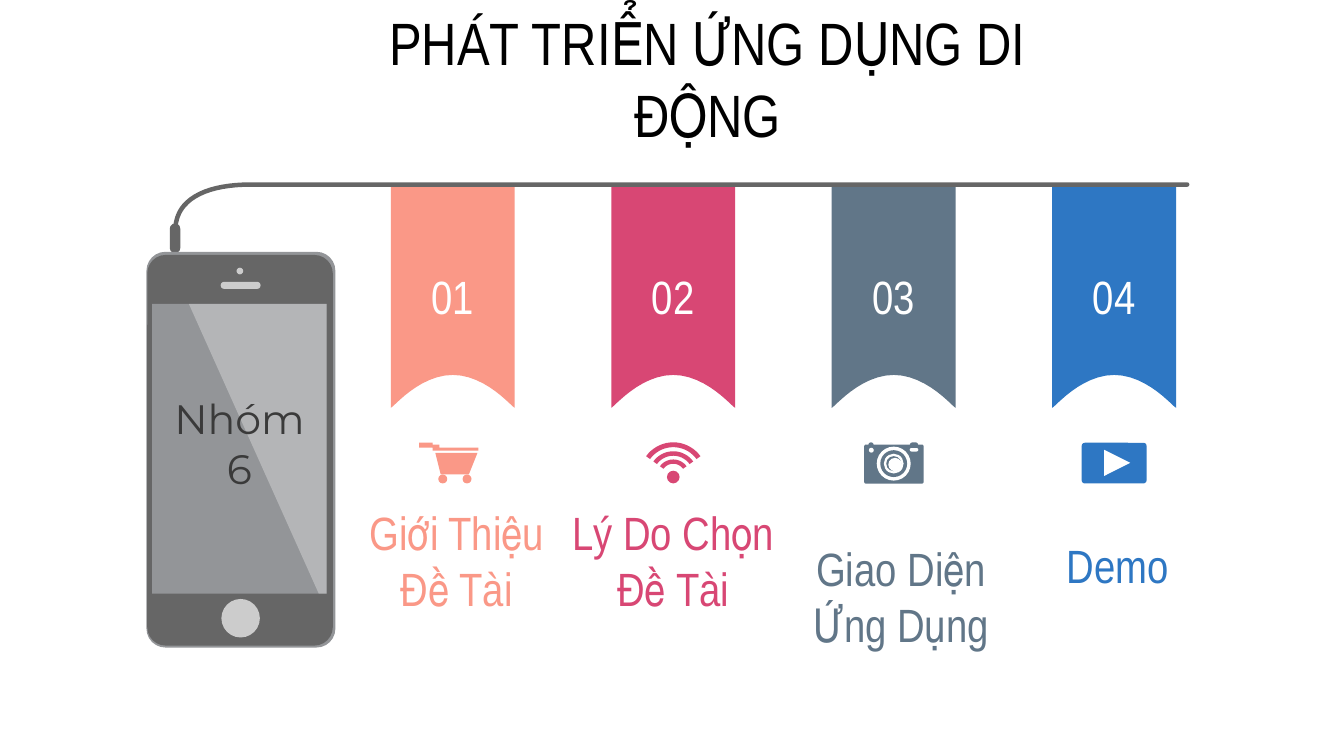
import math
from dataclasses import dataclass

from lxml import etree
from pptx import Presentation
from pptx.dml.color import RGBColor
from pptx.enum import shapes, text
from pptx.oxml.ns import qn
from pptx.util import Pt

MSO = shapes.MSO_SHAPE
Point = tuple[float, float]


@dataclass(frozen=True)
class Theme:
    coral: str = "FA9887"
    pink: str = "D84774"
    slate: str = "617688"
    blue: str = "2E77C3"
    white: str = "FFFFFF"
    black: str = "000000"
    ink: str = "3A3A3A"
    dark: str = "666666"
    mid: str = "939598"
    light: str = "CCCCCC"
    font: str = "Arial Narrow"
    screen_font: str = "Montserrat"
    title_size: float = 32
    label_size: float = 25
    screen_size: float = 22


@dataclass(frozen=True)
class Box:
    x: float
    y: float
    w: float
    h: float


@dataclass(frozen=True)
class Block:
    """A preset shape; without a colour it takes that of its column."""
    kind: int
    box: Box
    color: str | None = None
    radius: float | None = None


@dataclass(frozen=True)
class Outline:
    points: list[Point]
    color: str | None = None


@dataclass(frozen=True)
class Column:
    number: str
    label: str
    color: str
    label_box: Box
    icon: list[Block | Outline]


T = Theme()
FIRST_CENTER, PITCH = 242.6, 118.1
BANNER_TOP, BANNER_BOTTOM, ARCH_TOP, BANNER_HALF = 98.6, 218.5, 200.9, 33.2


def bezier(a: Point, b: Point, c: Point, d: Point, steps: int = 12) -> list[Point]:
    ts = [i / steps for i in range(steps + 1)]
    return [tuple((1 - t) ** 3 * a[k] + 3 * (1 - t) ** 2 * t * b[k]
                  + 3 * (1 - t) * t ** 2 * c[k] + t ** 3 * d[k] for k in (0, 1))
            for t in ts]


def disc(x: float, y: float, r: float, color: str | None = None) -> Block:
    return Block(MSO.OVAL, Box(x - r, y - r, 2 * r, 2 * r), color)


def rounded(x: float, y: float, w: float, h: float,
            color: str | None = None, radius: float = 0.5) -> Block:
    return Block(MSO.ROUNDED_RECTANGLE, Box(x, y, w, h), color, radius)


def wave(outer: float, inner: float, y: float = 255, half: int = 54) -> Outline:
    """A band of a ring that opens downwards."""
    angles = [math.radians(a) for a in range(-half, half + 1, 6)]
    edge = [(outer * math.sin(a), y - outer * math.cos(a)) for a in angles]
    back = [(inner * math.sin(a), y - inner * math.cos(a)) for a in reversed(angles)]
    return Outline(edge + back)


def paint(sp, color: str) -> None:
    sp.shadow.inherit = False
    sp.fill.solid()
    sp.fill.fore_color.rgb = RGBColor.from_string(color)
    sp.line.fill.background()


def add_path(s, points: list[Point], closed: bool = True):
    pts = [(Pt(x), Pt(y)) for x, y in points]
    fb = s.shapes.build_freeform(*pts[0], scale=1.0)
    fb.add_line_segments(pts[1:], close=closed)
    return fb.convert_to_shape()


def draw(s, part: Block | Outline, color: str = T.dark, dx: float = 0):
    if isinstance(part, Outline):
        sp = add_path(s, [(x + dx, y) for x, y in part.points])
    else:
        b = part.box
        sp = s.shapes.add_shape(part.kind, Pt(b.x + dx), Pt(b.y), Pt(b.w), Pt(b.h))
        if part.radius is not None:
            sp.adjustments[0] = part.radius
    paint(sp, part.color or color)
    return sp


def write(sp, words: str, size: float, color: str, font: str = T.font,
          inset: Point = (7.2, 7.2), anchor=text.MSO_ANCHOR.MIDDLE) -> None:
    tf = sp.text_frame
    frame = {"word_wrap": True, "auto_size": text.MSO_AUTO_SIZE.NONE,
             "vertical_anchor": anchor,
             "margin_left": Pt(inset[0]), "margin_right": Pt(inset[0]),
             "margin_top": Pt(inset[1]), "margin_bottom": Pt(inset[1])}
    for name, value in frame.items():
        setattr(tf, name, value)
    p = tf.paragraphs[0]
    p.alignment = text.PP_ALIGN.CENTER
    r = p.add_run()
    r.text = words
    for name, value in {"name": font, "size": Pt(size), "bold": False}.items():
        setattr(r.font, name, value)
    r.font.color.rgb = RGBColor.from_string(color)


def add_text(s, b: Box, *args, **kwargs) -> None:
    write(s.shapes.add_textbox(Pt(b.x), Pt(b.y), Pt(b.w), Pt(b.h)), *args, **kwargs)


def draw_column(s, col: Column, center: float) -> None:
    arch = bezier((-BANNER_HALF, BANNER_BOTTOM), (-32, BANNER_BOTTOM),
                  (-18, ARCH_TOP), (0, ARCH_TOP))
    mirrored = [(-x, y) for x, y in reversed(arch[:-1])]
    top = [(BANNER_HALF, BANNER_TOP), (-BANNER_HALF, BANNER_TOP)]
    banner = draw(s, Outline(arch + mirrored + top), col.color, center)
    write(banner, col.number, T.label_size, T.white)
    for part in col.icon:
        draw(s, part, col.color, center)
    add_text(s, col.label_box, col.label, T.label_size, col.color, inset=(0, 0))


def draw_cable(s) -> None:
    bend = (bezier((94, 121.7), (94.3, 118.8), (95, 114.5), (98.6, 110.2))
            + bezier((98.6, 110.2), (105.1, 102.6), (117.7, 98.9), (134.6, 98.9))[1:])
    sp = add_path(s, bend + [(636, 98.9)], closed=False)
    sp.shadow.inherit = False
    sp.fill.background()
    sp.line.color.rgb = RGBColor.from_string(T.dark)
    sp.line.width = Pt(2.4)
    sp._element.spPr.find(qn("a:ln")).set("cap", "rnd")
    draw(s, rounded(91, 119.7, 5.6, 16))


def draw_phone(s) -> None:
    for part in (rounded(78.5, 134.9, 101.2, 212, T.mid, 0.1),
                 rounded(78.9, 136.6, 99.4, 209.3, T.dark, 0.1),
                 Block(MSO.RECTANGLE, Box(81.5, 162.8, 93.5, 155.2), T.mid)):
        draw(s, part)
    sheen = draw(s, Outline([(101.2, 162.8), (170.8, 318), (175, 318), (175, 162.8)],
                            T.white))
    clr = sheen._element.spPr.find(qn("a:solidFill")).find(qn("a:srgbClr"))
    etree.SubElement(clr, qn("a:alpha"), val="31000")
    for part in (rounded(118.2, 151, 21.4, 3.8, T.light),
                 disc(128.5, 145.2, 1.8, T.light), disc(128.9, 331.2, 10.3, T.light)):
        draw(s, part)
    add_text(s, Box(81.5, 207.4, 93.6, 60.5), "Nhóm 6", T.screen_size, T.ink,
             font=T.screen_font, inset=(7.2, 3.6), anchor=text.MSO_ANCHOR.TOP)


CART = [Outline([(-9.4, 242.6), (-6.5, 254.2), (8.6, 254.2), (13.2, 242.6)]),
        Outline([(-18, 237.2), (-18, 239.9), (-10.8, 239.9), (-10.8, 241.4),
                 (13.7, 241.4), (13.7, 239.9), (-7.2, 239.9), (-7.2, 238.2),
                 (-10.8, 238.2), (-10.8, 237.2)]),
        disc(-5.4, 256.6, 2.4), disc(7.6, 256.6, 2.4)]
WIFI = [disc(0, 255.6, 3.4), wave(18, 15.4), wave(13.2, 10.8), wave(8.8, 6.5)]
CAMERA = [rounded(-15.8, 238.2, 31.8, 20.9, radius=0.04),
          rounded(-13.6, 237, 2.9, 3), rounded(8.6, 237, 4.5, 3),
          disc(-12, 241.2, 1.3, T.white), rounded(8.6, 240, 4.6, 1.9, T.white),
          disc(0, 248.4, 9.1, T.white), disc(0, 248.4, 7.2),
          disc(0, 248.4, 5.3, T.white), disc(0, 248.4, 4),
          disc(0.7, 248.9, 3.6, T.white)]
VIDEO = [rounded(-17.4, 237.2, 34.8, 21.8, radius=0.08),
         Outline([(-5.3, 241), (8.6, 248), (-5.3, 255)], T.white)]

COLUMNS = [
    Column("01", "Giới Thiệu Đề Tài", T.coral, Box(195.8, 268.6, 97.9, 62.6), CART),
    Column("02", "Lý Do Chọn Đề Tài", T.pink, Box(303.1, 274.3, 115.2, 51.1), WIFI),
    Column("03", "Giao Diện Ứng Dụng", T.slate, Box(427.7, 290.9, 110.2, 56.2), CAMERA),
    Column("04", "Demo", T.blue, Box(542.9, 277.2, 111.6, 51.1), VIDEO),
]


def main() -> None:
    prs = Presentation()
    prs.slide_width, prs.slide_height = Pt(720), Pt(405)
    s = prs.slides.add_slide(prs.slide_layouts[5])
    title = s.shapes.title
    place = {"left": 160.6, "top": 18, "width": 437, "height": 47.5}
    for name, value in place.items():
        setattr(title, name, Pt(value))
    write(title, "PHÁT TRIỂN ỨNG DỤNG DI ĐỘNG", T.title_size, T.black)
    for i, col in enumerate(COLUMNS):
        draw_column(s, col, FIRST_CENTER + i * PITCH)
    draw_cable(s)
    draw_phone(s)
    prs.save("out.pptx")


if __name__ == "__main__":
    main()
